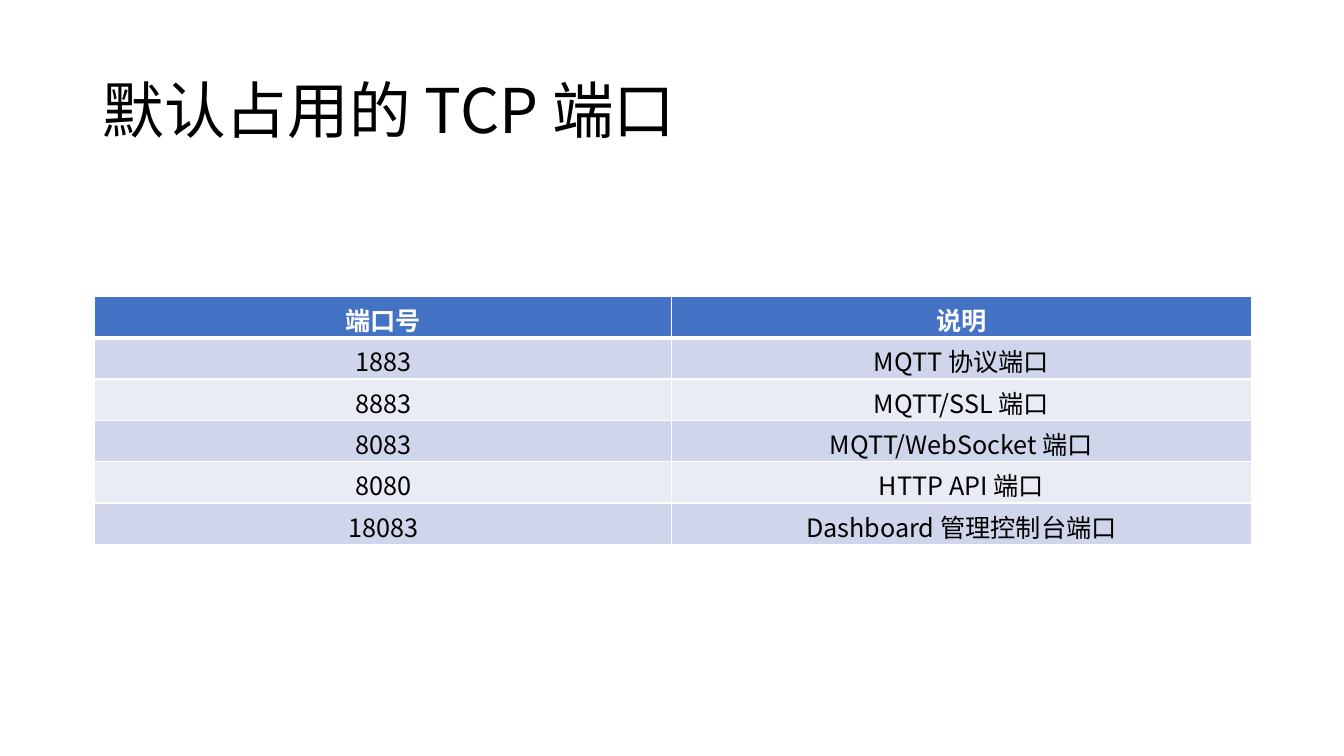
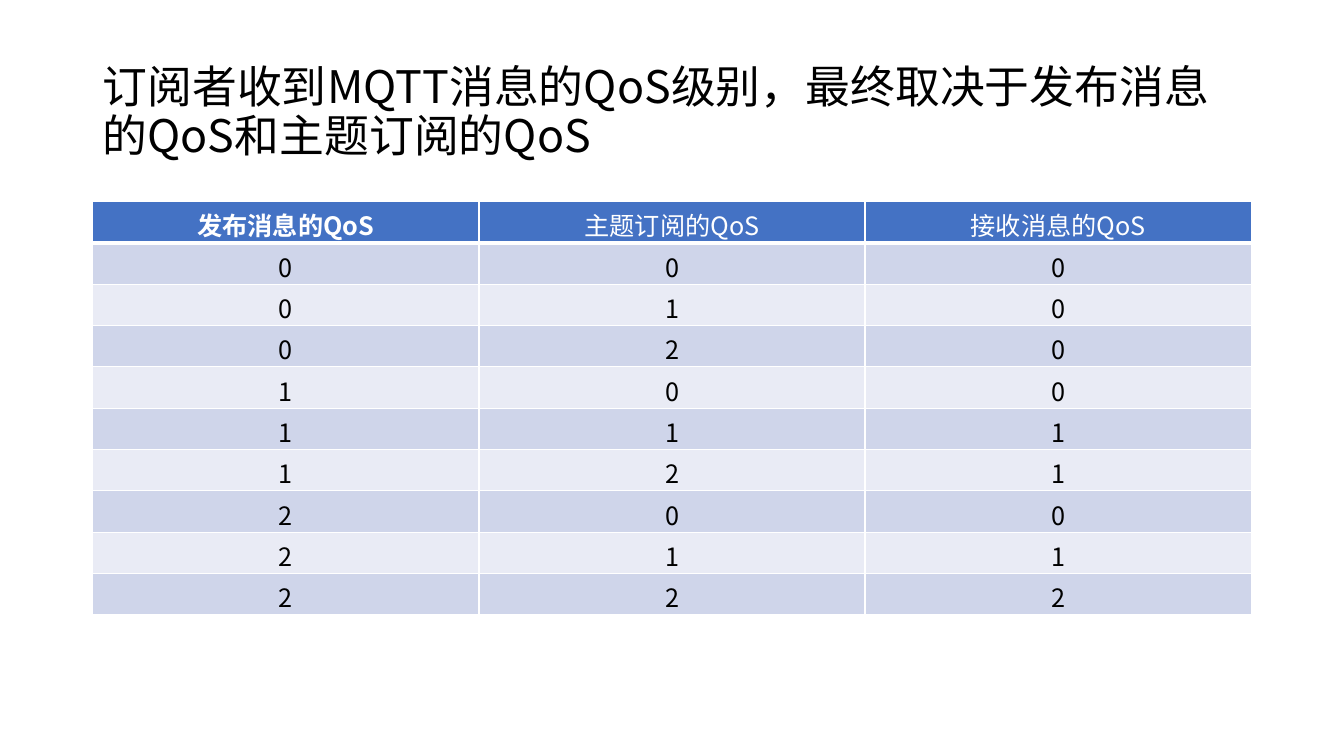
from itertools import product

from lxml import etree
from pptx import Presentation
from pptx.dml.color import RGBColor
from pptx.enum.text import MSO_ANCHOR, PP_ALIGN
from pptx.oxml.ns import qn
from pptx.util import Inches, Pt

CENTER = PP_ALIGN.CENTER
MIDDLE = MSO_ANCHOR.MIDDLE


class Theme:
    font = "Noto Sans CJK SC"
    text = "000000"
    white = "FFFFFF"
    header = "4472C4"
    bands = ("CFD5EA", "E9EBF5")
    cell_size = 18
    thin_border = 1
    header_border = 3
    row_height = 0.41


def add_run(paragraph, text, size, color, bold=False):
    run = paragraph.add_run()
    run.text = text
    run.font.name = Theme.font
    run.font.size = Pt(size)
    run.font.bold = bold
    run.font.color.rgb = RGBColor.from_string(color)
    east_asian = etree.SubElement(run.font._element, qn("a:ea"))
    east_asian.set("typeface", Theme.font)


def set_borders(cell, top, bottom):
    properties = cell._tc.get_or_add_tcPr()
    thin = Theme.thin_border
    sides = (("L", thin), ("R", thin), ("T", top), ("B", bottom))
    for index, (side, width) in enumerate(sides):
        line = etree.Element(qn(f"a:ln{side}"), w=str(Pt(width)))
        fill = etree.SubElement(line, qn("a:solidFill"))
        etree.SubElement(fill, qn("a:srgbClr"), val=Theme.white)
        properties.insert(index, line)


# Slide contents; a received message has the lower of the two QoS levels
slides = [
    {
        "title": "默认占用的 TCP 端口",
        "title_size": 44,
        "left": 0.94,
        "top": 2.94,
        "columns": (5.72, 5.75),
        "bold_headers": 2,
        "rows": [
            ("端口号", "说明"),
            ("1883", "MQTT 协议端口"),
            ("8883", "MQTT/SSL 端口"),
            ("8083", "MQTT/WebSocket 端口"),
            ("8080", "HTTP API 端口"),
            ("18083", "Dashboard 管理控制台端口"),
        ],
    },
    {
        "title": "订阅者收到MQTT消息的QoS级别，最终取决于发布消息的QoS和主题订阅的QoS",
        "title_size": 32,
        "left": 0.92,
        "top": 2,
        "columns": (3.83, 3.83, 3.83),
        "bold_headers": 1,
        "rows": [("发布消息的QoS", "主题订阅的QoS", "接收消息的QoS")]
        + [(str(published), str(subscribed), str(min(published, subscribed)))
           for published, subscribed in product(range(3), repeat=2)],
    },
]

presentation = Presentation()
presentation.slide_width = Inches(13.33)
presentation.slide_height = Inches(7.5)
blank_layout = presentation.slide_layouts[6]

for content in slides:
    slide = presentation.slides.add_slide(blank_layout)

    # Title
    title = slide.shapes.add_textbox(Inches(0.92), Inches(0.4), Inches(11.5), Inches(1.45))
    title.text_frame.word_wrap = True
    title.text_frame.vertical_anchor = MIDDLE
    paragraph = title.text_frame.paragraphs[0]
    paragraph.line_spacing = 0.9
    add_run(paragraph, content["title"], content["title_size"], Theme.text)

    # Table
    rows, columns = content["rows"], content["columns"]
    table = slide.shapes.add_table(
        len(rows), len(columns), Inches(content["left"]), Inches(content["top"]),
        Inches(sum(columns)), Inches(Theme.row_height * len(rows))).table
    for column, width in zip(table.columns, columns):
        column.width = Inches(width)

    # Cells
    for row_index, values in enumerate(rows):
        is_header = row_index == 0
        fill_color = Theme.header if is_header else Theme.bands[(row_index - 1) % 2]
        text_color = Theme.white if is_header else Theme.text
        top = Theme.header_border if row_index == 1 else Theme.thin_border
        bottom = Theme.header_border if is_header else Theme.thin_border
        for column_index, value in enumerate(values):
            cell = table.cell(row_index, column_index)
            cell.fill.solid()
            cell.fill.fore_color.rgb = RGBColor.from_string(fill_color)
            set_borders(cell, top, bottom)
            paragraph = cell.text_frame.paragraphs[0]
            paragraph.alignment = CENTER
            bold = is_header and column_index < content["bold_headers"]
            add_run(paragraph, value, Theme.cell_size, text_color, bold)

presentation.save("out.pptx")
